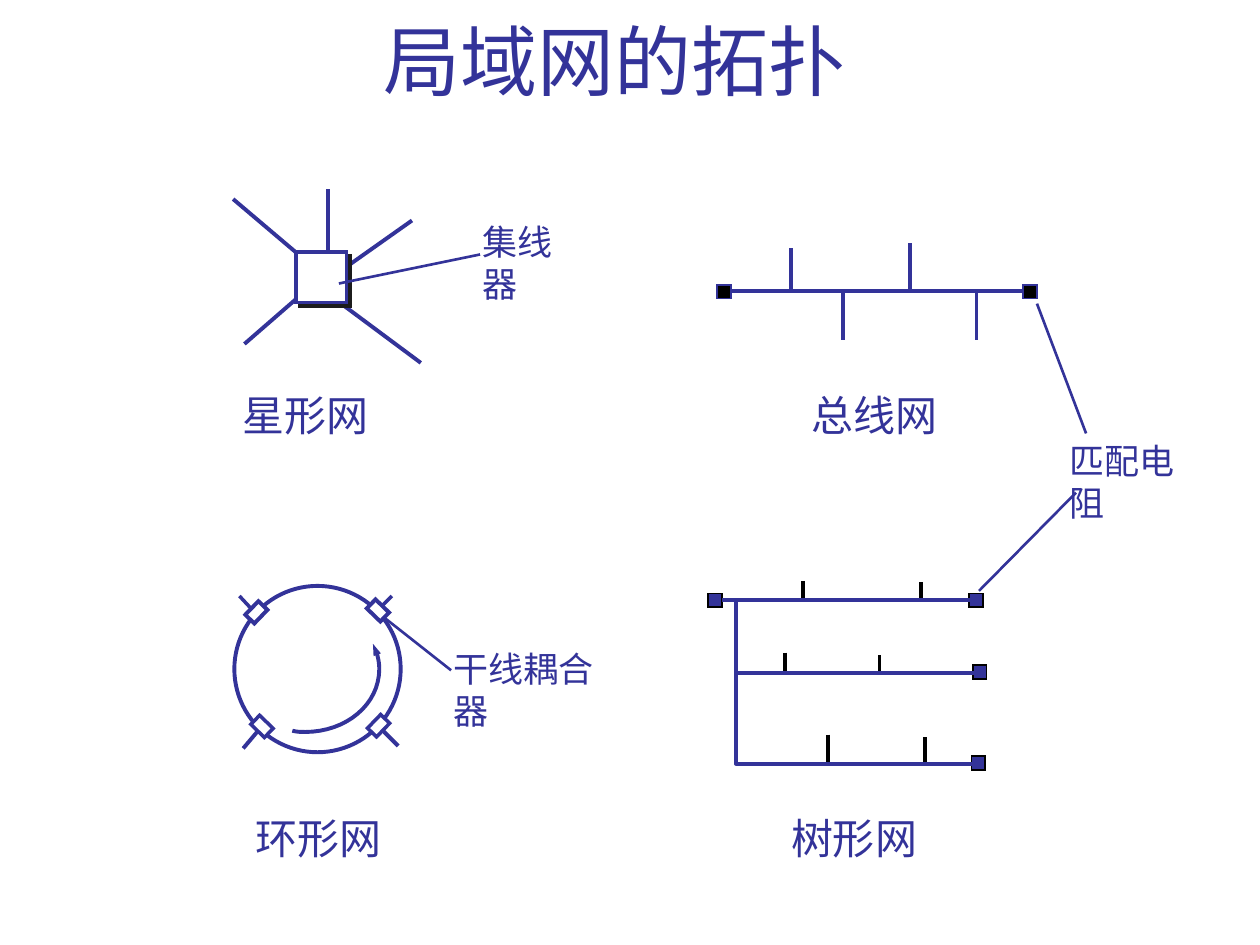
from dataclasses import dataclass
from typing import NamedTuple

from lxml import etree
from pptx import Presentation
from pptx.dml.color import RGBColor
from pptx.enum import shapes, text
from pptx.oxml import ns
from pptx.util import Inches, Pt


@dataclass(frozen=True)
class Theme:
    ink: str = "333399"
    black: str = "000000"
    white: str = "FFFFFF"
    shadow: str = "1C1C1C"
    title_font: str = "Arial"
    label_font: str = "Times New Roman"
    caption_font: str = "Noto Sans CJK SC"
    title_size: float = 44
    label_size: float = 20
    caption_size: float = 24
    thick: float = 2.25
    medium: float = 2
    leader: float = 1.5
    thin: float = 1


THEME = Theme()


class Line(NamedTuple):
    x1: float
    y1: float
    x2: float
    y2: float
    color: str = THEME.ink
    weight: float = THEME.thick


class Block(NamedTuple):
    left: float
    top: float
    width: float
    height: float
    fill: str = THEME.white
    outline: str = THEME.ink
    weight: float = THEME.thick
    rotation: float = 0
    kind: shapes.MSO_SHAPE = shapes.MSO_SHAPE.RECTANGLE


class Label(NamedTuple):
    words: str
    left: float
    top: float
    width: float
    height: float
    font: str
    size: float


def rgb(color: str) -> RGBColor:
    return RGBColor.from_string(color)


def add_element(parent, tag: str, **attributes: str):
    return etree.SubElement(parent, ns.qn(tag), attributes)


def draw_line(page, line: Line) -> None:
    ends = (Inches(value) for value in line[:4])
    connector = page.shapes.add_connector(shapes.MSO_CONNECTOR.STRAIGHT, *ends)
    connector.line.color.rgb = rgb(line.color)
    connector.line.width = Pt(line.weight)
    add_element(connector._element.spPr, "a:effectLst")


def draw_block(page, block: Block):
    frame = (Inches(value) for value in block[:4])
    shape = page.shapes.add_shape(block.kind, *frame)
    shape.shadow.inherit = False
    shape.rotation = block.rotation
    shape.fill.solid()
    shape.fill.fore_color.rgb = rgb(block.fill)
    shape.line.color.rgb = rgb(block.outline)
    shape.line.width = Pt(block.weight)
    add_element(shape.line._get_or_add_ln(), "a:miter", lim="800000")
    return shape


def draw_path(page, points: list[tuple[float, float]], arrow: bool = False) -> None:
    corners = [(Inches(x), Inches(y)) for x, y in points]
    builder = page.shapes.build_freeform(*corners[0])
    builder.add_line_segments(corners[1:], close=False)
    shape = builder.convert_to_shape()
    shape.shadow.inherit = False
    shape.fill.background()
    shape.line.color.rgb = rgb(THEME.ink)
    shape.line.width = Pt(THEME.thick)
    if arrow:
        add_element(shape.line._get_or_add_ln(), "a:tailEnd", type="triangle", w="sm", len="med")


def curve(points: list[tuple[float, float]], steps: int = 16) -> list[tuple[float, float]]:
    result = [points[0]]
    for start in range(0, len(points) - 1, 3):
        a, b, c, d = points[start:start + 4]
        for step in range(1, steps + 1):
            t = step / steps
            s = 1 - t
            weights = (s ** 3, 3 * s * s * t, 3 * s * t * t, t ** 3)
            result.append(tuple(
                sum(w * p[axis] for w, p in zip(weights, (a, b, c, d))) for axis in (0, 1)
            ))
    return result


def write(box, words: str, font: str, size: float) -> None:
    para = box.text_frame.paragraphs[0]
    span = para.add_run()
    span.text = words
    span.font.name = font
    span.font.size = Pt(size)
    span.font.color.rgb = rgb(THEME.ink)


def draw_label(page, label: Label) -> None:
    frame = (Inches(value) for value in label[1:5])
    box = page.shapes.add_textbox(*frame)
    box.text_frame.word_wrap = True
    write(box, label.words, label.font, label.size)


def draw_title(page) -> None:
    title = page.shapes.title
    title.left, title.top = Inches(1.2), Inches(0.05)
    title.width, title.height = Inches(7.5), Inches(0.84)
    title.text_frame.vertical_anchor = text.MSO_ANCHOR.BOTTOM
    title.text_frame.auto_size = text.MSO_AUTO_SIZE.NONE
    title.text_frame.paragraphs[0].alignment = text.PP_ALIGN.CENTER
    write(title, "局域网的拓扑 ", THEME.title_font, THEME.title_size)


def draw_star(page) -> None:
    for spoke in (
        Line(2.44, 2.08, 1.85, 1.58),
        Line(2.6, 2.08, 2.6, 1.5),
        Line(2.4, 2.33, 1.94, 2.73),
        Line(2.6, 2.33, 3.34, 2.88),
        Line(2.69, 2.16, 3.27, 1.75),
    ):
        draw_line(page, spoke)
    hub = draw_block(page, Block(2.35, 2, 0.4, 0.4, weight=THEME.medium))
    effects = hub._element.spPr.find(ns.qn("a:effectLst"))
    shadow = add_element(effects, "a:outerShdw", dist=str(Pt(2.8)), dir="2700000",
                         algn="ctr", rotWithShape="0")
    add_element(shadow, "a:srgbClr", val=THEME.shadow)
    draw_line(page, Line(2.69, 2.25, 3.81, 2.02, weight=THEME.leader))


def draw_bus(page) -> None:
    draw_line(page, Line(5.81, 2.31, 8.17, 2.31))
    for left in (5.69, 8.12):
        draw_block(page, Block(left, 2.26, 0.11, 0.11, THEME.black, THEME.ink, THEME.thin))
    for x, end in ((6.28, 1.97), (6.69, 2.7), (7.22, 1.93), (7.75, 2.7)):
        draw_line(page, Line(x, 2.32, x, end))


def draw_tree(page) -> None:
    for left, top in ((7.71, 6), (7.69, 4.71), (7.72, 5.28), (5.62, 4.71)):
        draw_block(page, Block(left, top, 0.11, 0.11, THEME.ink, THEME.black, THEME.thin))
    for x, top, bottom in (
        (6.37, 4.61, 4.76), (7.31, 4.62, 4.77),
        (6.23, 5.18, 5.34), (6.98, 5.2, 5.36),
        (6.57, 5.83, 6.06), (7.34, 5.85, 6.05),
    ):
        draw_line(page, Line(x, top, x, bottom, THEME.black))
    draw_line(page, Line(5.73, 4.76, 7.72, 4.76))
    draw_line(page, Line(5.86, 5.34, 7.8, 5.34))
    draw_path(page, [(5.84, 4.77), (5.84, 6.06), (7.74, 6.06)])


def draw_ring(page) -> None:
    for stub in (
        Line(2.03, 4.87, 1.9, 4.73, weight=THEME.medium),
        Line(3.11, 4.73, 2.99, 4.85, weight=THEME.medium),
        Line(3.16, 5.92, 3.01, 5.77),
        Line(2.04, 5.81, 1.93, 5.94),
    ):
        draw_line(page, stub)
    draw_block(page, Block(1.86, 4.65, 1.32, 1.32, kind=shapes.MSO_SHAPE.OVAL))
    for left, top, width, height, weight in (
        (1.96, 4.81, 0.15, 0.1, THEME.thick),
        (2.93, 5.71, 0.15, 0.1, THEME.medium),
        (2.95, 4.77, 0.1, 0.15, THEME.thick),
        (2.03, 5.69, 0.1, 0.15, THEME.medium),
    ):
        draw_block(page, Block(left, top, width, height, weight=weight, rotation=314))
    draw_line(page, Line(3.06, 4.91, 3.58, 5.32, weight=THEME.leader))
    draw_path(page, curve([
        (2.32, 5.8), (2.36, 5.81), (2.39, 5.81), (2.42, 5.81),
        (2.75, 5.81), (3.01, 5.59), (3.01, 5.31),
        (3.01, 5.24), (2.99, 5.17), (2.96, 5.11),
    ]), arrow=True)


def draw_labels(page) -> None:
    for words, left, top, width in (
        ("匹配电阻", 8.39, 3.44, 1.3), ("集线器", 3.73, 1.7, 1.02), ("干线耦合器", 3.5, 5.09, 1.58),
    ):
        draw_label(page, Label(words, left, top, width, 0.43, THEME.label_font, THEME.label_size))
    for words, left, top in (
        ("总线网", 6.34, 3.04), ("星形网", 1.83, 3.04), ("树形网", 6.18, 6.4), ("环形网", 1.93, 6.4),
    ):
        draw_label(page, Label(words, left, top, 1.3, 0.5, THEME.caption_font, THEME.caption_size))
    draw_line(page, Line(8.23, 2.41, 8.62, 3.44, weight=THEME.leader))
    draw_line(page, Line(8.54, 3.91, 7.77, 4.69, weight=THEME.leader))


def main() -> None:
    deck = Presentation()
    deck.slide_width, deck.slide_height = Inches(10), Inches(7.5)
    page = deck.slides.add_slide(deck.slide_layouts[5])
    for draw in (draw_title, draw_star, draw_bus, draw_tree, draw_ring, draw_labels):
        draw(page)
    deck.save("out.pptx")


if __name__ == "__main__":
    main()
